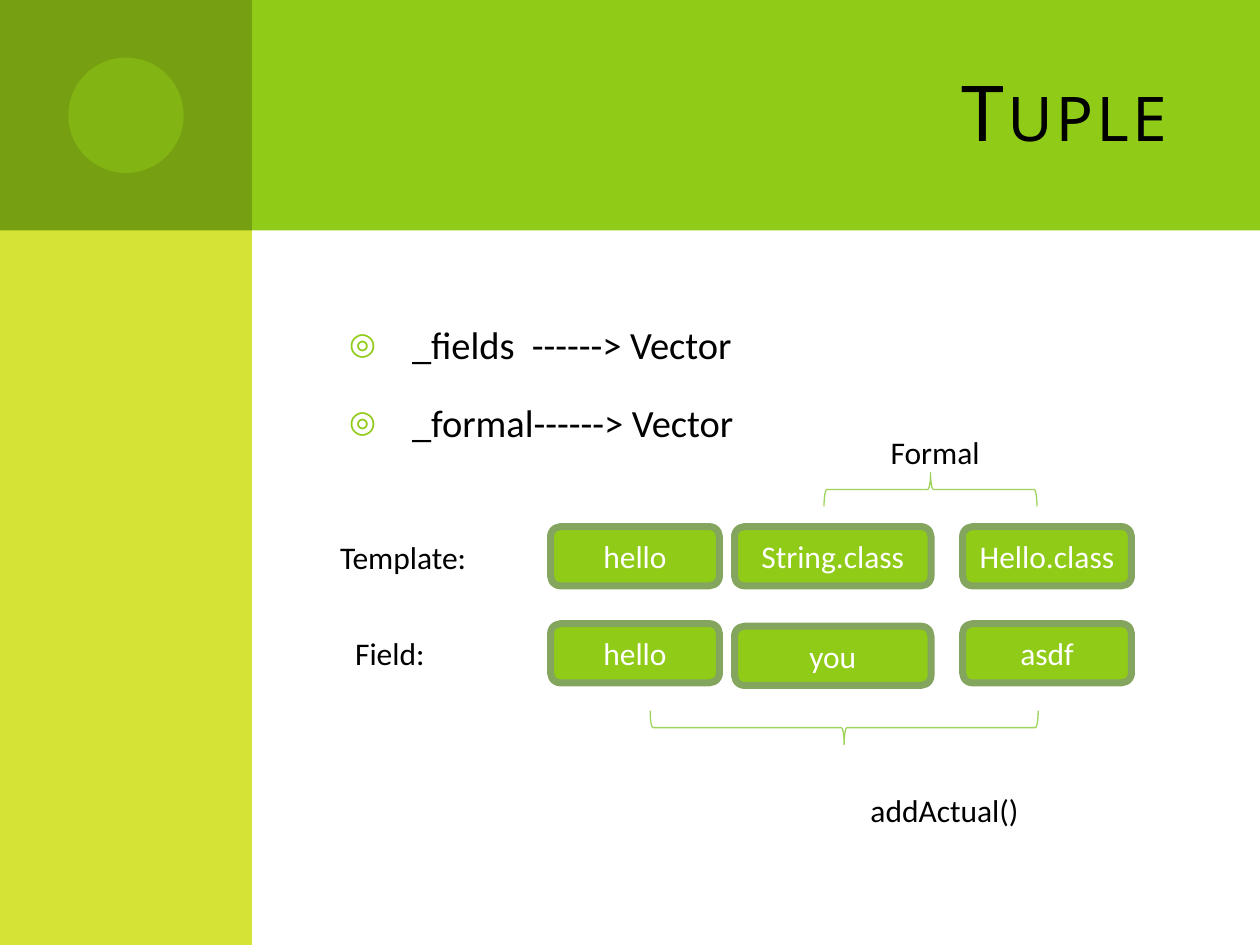
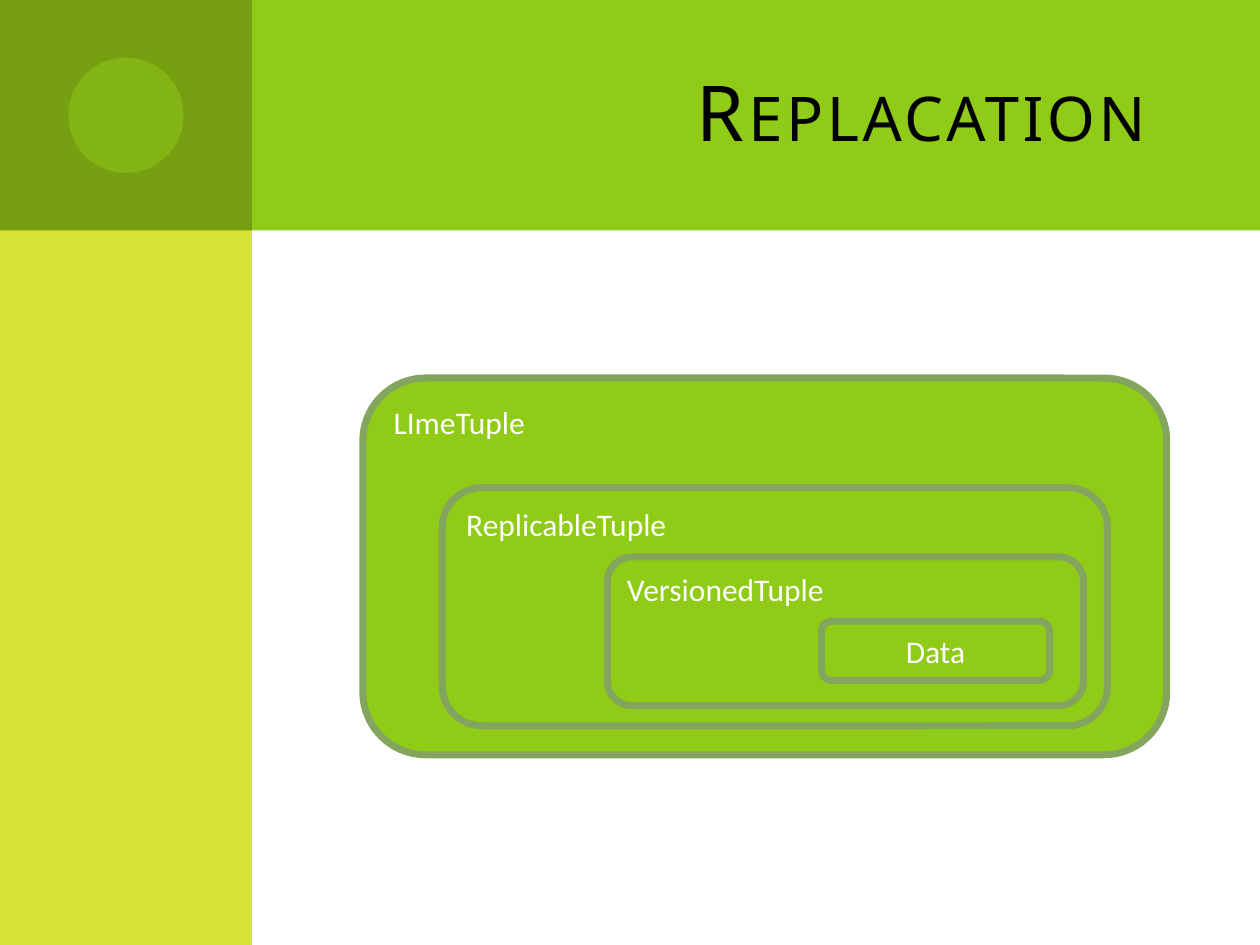
from dataclasses import dataclass

from lxml import etree
from pptx import Presentation
from pptx import util as u
from pptx.dml import color
from pptx.enum import shapes, text
from pptx.oxml import ns


# Theme
@dataclass(frozen=True)
class Theme:
    green: str = "8FCB17"
    dark_green: str = "769F11"
    lime: str = "D4E336"
    outline: str = "84A55E"
    brace: str = "9FD45C"
    black: str = "000000"
    white: str = "FFFFFF"
    title_font: str = "Noto Sans"
    body_font: str = "Calibri"
    title_size: int = 44
    body_size: int = 22
    label_size: int = 18
    box_line: float = 4
    brace_line: float = 0.75


THEME = Theme()
WIDTH, HEIGHT = 10, 7.5
SIDE, BAND = 0.2 * WIDTH, 1.83
DOT = BAND / 2
TITLE_AREA = (2.67, 0.25, 6.83, 1.25)
BODY_AREA = (2.67, 2.5, 6.83, 4.2)

# Content: fill, area, opacity in percent
BANDS = [
    ("rect", THEME.green, (0.5, 0, WIDTH - 0.5, BAND), 100),
    ("rect", THEME.lime, (0, 0, SIDE, HEIGHT), 100),
    ("rect", THEME.dark_green, (0, 0, SIDE, BAND), 100),
    ("dot", THEME.green, ((SIDE - DOT) / 2, (BAND - DOT) / 2, DOT, DOT), 50),
]

BULLETS = ["_fields  ------> Vector", "_formal------> Vector"]
COLUMNS = [(4.37, 1.34), (5.83, 1.56), (7.64, 1.34)]  # left, width
ROWS = [4.18, 4.95]
CELL_HEIGHT = 0.47
CELLS = [["hello", "String.class", "Hello.class"], ["hello", "you", "asdf"]]
NUDGES = {"you": 0.02}  # this box sits slightly below its row
LABELS = [
    ("Template:", (2.6, 4.22, 1.22, 0.4)),
    ("Field:", (2.72, 4.98, 0.76, 0.4)),
    ("Formal", (6.97, 3.39, 0.92, 0.4)),
    ("addActual()", (6.81, 6.23, 1.39, 0.4)),
]
BRACE_DEPTH = 0.27
BRACES = [(6.54, 8.23, 3.75, 90), (5.16, 8.24, 5.64, 270)]  # from, to, top, turn

NESTED = [
    ("LImeTuple", (2.88, 3, 6.38, 2.99)),
    ("ReplicableTuple", (3.51, 3.87, 5.28, 1.89)),
    ("VersionedTuple", (4.82, 4.42, 3.78, 1.18)),
]
CORE = ("Data", (6.52, 4.93, 1.81, CELL_HEIGHT))


# Helpers
def rgb(value):
    return color.RGBColor.from_string(value)


def inches(area):
    return [u.Inches(length) for length in area]


def place(shape, area):
    shape.left, shape.top, shape.width, shape.height = inches(area)


def add_run(paragraph, words, size, ink, font=THEME.body_font):
    run = paragraph.add_run()
    run.text = words
    run.font.size = u.Pt(size)
    run.font.name = font
    run.font.color.rgb = rgb(ink)
    return run


def add_plain(slide, kind, area, fill=None, line=None, weight=0):
    shape = slide.shapes.add_shape(kind, *inches(area))
    shape.shadow.inherit = False
    if fill:
        shape.fill.solid()
        shape.fill.fore_color.rgb = rgb(fill)
    else:
        shape.fill.background()
    if line:
        shape.line.color.rgb = rgb(line)
        shape.line.width = u.Pt(weight)
    else:
        shape.line.fill.background()
    return shape


def add_box(slide, words, area, centred=True):
    shape = add_plain(slide, shapes.MSO_SHAPE.ROUNDED_RECTANGLE, area,
                      THEME.green, THEME.outline, THEME.box_line)
    frame = shape.text_frame
    frame.vertical_anchor = text.MSO_ANCHOR.MIDDLE if centred else text.MSO_ANCHOR.TOP
    paragraph = frame.paragraphs[0]
    paragraph.alignment = text.PP_ALIGN.CENTER if centred else text.PP_ALIGN.LEFT
    add_run(paragraph, words, THEME.label_size, THEME.white)


def add_label(slide, words, area):
    frame = slide.shapes.add_textbox(*inches(area)).text_frame
    frame.word_wrap = False
    frame.auto_size = text.MSO_AUTO_SIZE.SHAPE_TO_FIT_TEXT
    add_run(frame.paragraphs[0], words, THEME.label_size, THEME.black)


def add_brace(slide, start, end, top, turn):
    # The frame is given upright, then turned about its centre
    span = end - start
    left = (start + end - BRACE_DEPTH) / 2
    upright_top = top + (BRACE_DEPTH - span) / 2
    brace = add_plain(slide, shapes.MSO_SHAPE.LEFT_BRACE,
                      (left, upright_top, BRACE_DEPTH, span),
                      line=THEME.brace, weight=THEME.brace_line)
    brace.rotation = turn


def add_bullet(paragraph):
    properties = paragraph._p.get_or_add_pPr()
    properties.set("marL", str(u.Inches(0.5)))
    properties.set("indent", str(-u.Inches(0.5)))
    bullet_color = etree.SubElement(properties, ns.qn("a:buClr"))
    etree.SubElement(bullet_color, ns.qn("a:srgbClr"), val=THEME.green)
    etree.SubElement(properties, ns.qn("a:buSzPct"), val="80000")
    etree.SubElement(properties, ns.qn("a:buChar"), char="◎")


def add_slide(presentation, layout, title):
    slide = presentation.slides.add_slide(presentation.slide_layouts.get_by_name(layout))
    shape = slide.shapes.title
    place(shape, TITLE_AREA)
    frame = shape.text_frame
    frame.vertical_anchor = text.MSO_ANCHOR.MIDDLE
    frame.auto_size = text.MSO_AUTO_SIZE.NONE
    paragraph = frame.paragraphs[0]
    paragraph.alignment = text.PP_ALIGN.RIGHT
    run = add_run(paragraph, title, THEME.title_size, THEME.black, THEME.title_font)
    run.font._element.set("cap", "small")
    run.font._element.set("spc", "200")
    return slide


def add_bands(slide, master):
    # Drawn once, then moved behind everything on the master
    tree = master.element.cSld.spTree
    for index, (kind, fill, area, opacity) in enumerate(BANDS):
        preset = shapes.MSO_SHAPE.OVAL if kind == "dot" else shapes.MSO_SHAPE.RECTANGLE
        shape = add_plain(slide, preset, area, fill)
        if opacity < 100:
            ink = shape.element.spPr.find(".//" + ns.qn("a:srgbClr"))
            etree.SubElement(ink, ns.qn("a:alpha"), val=str(opacity * 1000))
        tree.insert(2 + index, shape.element)


presentation = Presentation()
presentation.slide_width, presentation.slide_height = u.Inches(WIDTH), u.Inches(HEIGHT)

# Slide 1: tuple fields
slide = add_slide(presentation, "Title and Content", "Tuple")
add_bands(slide, presentation.slide_master)
body = slide.placeholders[1]
place(body, BODY_AREA)
frame = body.text_frame
frame.auto_size = text.MSO_AUTO_SIZE.NONE
for index, words in enumerate(BULLETS):
    paragraph = frame.add_paragraph() if index else frame.paragraphs[0]
    paragraph.space_before = u.Pt(18)
    add_bullet(paragraph)
    add_run(paragraph, words, THEME.body_size, THEME.black)
for top, row in zip(ROWS, CELLS):
    for (left, width), words in zip(COLUMNS, row):
        add_box(slide, words, (left, top + NUDGES.get(words, 0), width, CELL_HEIGHT))
for words, area in LABELS:
    add_label(slide, words, area)
for brace in BRACES:
    add_brace(slide, *brace)

# Slide 2: nested tuples
slide = add_slide(presentation, "Title Only", "Replacation")
for words, area in NESTED:
    add_box(slide, words, area, centred=False)
add_box(slide, *CORE)

presentation.save("out.pptx")
